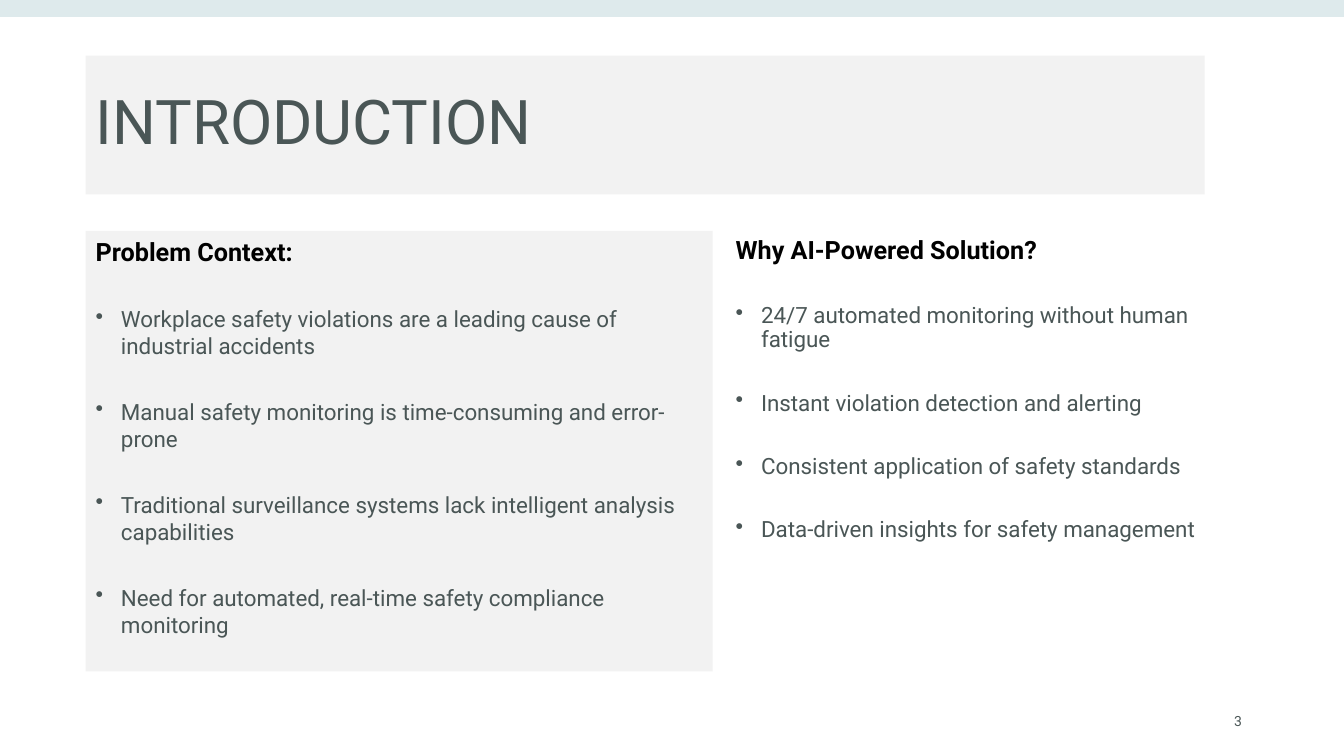
from dataclasses import dataclass

from lxml.etree import SubElement
from pptx import Presentation
from pptx.dml.color import RGBColor
from pptx.enum.shapes import MSO_SHAPE
from pptx.enum.text import MSO_ANCHOR, PP_ALIGN
from pptx.oxml.ns import qn
from pptx.util import Cm, Pt


@dataclass(frozen=True)
class Theme:
    font: str = "Roboto"
    band: RGBColor = RGBColor(0xBE, 0xD6, 0xDA)
    panel: RGBColor = RGBColor(0xF2, 0xF2, 0xF2)
    body: RGBColor = RGBColor(0x4A, 0x56, 0x56)
    heading: RGBColor = RGBColor(0, 0, 0)
    title_size: int = 44
    heading_size: int = 18
    body_size: int = 16
    number_size: int = 10


THEME = Theme()

PROBLEMS = [
    "Workplace safety violations are a leading cause of industrial accidents",
    "Manual safety monitoring is time-consuming and error-prone",
    "Traditional surveillance systems lack intelligent analysis capabilities",
    "Need for automated, real-time safety compliance monitoring",
]
BENEFITS = [
    "24/7 automated monitoring without human fatigue",
    "Instant violation detection and alerting",
    "Consistent application of safety standards",
    "Data-driven insights for safety management",
]


def add_panel(slide, left, top, width, height, color):
    panel = slide.shapes.add_shape(
        MSO_SHAPE.RECTANGLE, Cm(left), Cm(top), Cm(width), Cm(height))
    panel.shadow.inherit = False
    panel.fill.solid()
    panel.fill.fore_color.rgb = color
    panel.line.fill.background()
    return panel


def add_text_area(slide, left, top, width, height):
    return slide.shapes.add_textbox(Cm(left), Cm(top), Cm(width), Cm(height))


def set_opacity(panel, percent):
    color = panel.fill._xPr.find(qn("a:solidFill"))[0]
    SubElement(color, qn("a:alpha"), val=str(percent * 1000))


def prepare_frame(area, anchor):
    frame = area.text_frame
    frame.word_wrap = True
    frame.vertical_anchor = anchor
    return frame


def write_paragraph(paragraph, text, size, color, bold=False, align=PP_ALIGN.LEFT):
    paragraph.text = text
    paragraph.alignment = align
    paragraph.font.name = THEME.font
    paragraph.font.size = Pt(size)
    paragraph.font.bold = bold
    paragraph.font.color.rgb = color


def add_bullet(paragraph):
    properties = paragraph._p.get_or_add_pPr()
    properties.set("marL", str(Cm(0.64)))
    properties.set("indent", str(-Cm(0.64)))
    bullet = properties.makeelement(qn("a:buChar"), {"char": "•"})
    properties.insert_element_before(
        bullet, "a:tabLst", "a:defRPr", "a:extLst")


def write_section(area, heading, points, line_spacing):
    frame = prepare_frame(area, MSO_ANCHOR.TOP)
    write_paragraph(frame.paragraphs[0], heading, THEME.heading_size,
                    THEME.heading, bold=True)
    for point in points:
        paragraph = frame.add_paragraph()
        write_paragraph(paragraph, point, THEME.body_size, THEME.body)
        add_bullet(paragraph)
    for paragraph in frame.paragraphs:
        paragraph.line_spacing = line_spacing
        paragraph.space_before = Pt(10)
        paragraph.space_after = Pt(18)


def write_title(area, text):
    title = prepare_frame(area, MSO_ANCHOR.MIDDLE).paragraphs[0]
    write_paragraph(title, text, THEME.title_size, THEME.body)
    title.line_spacing = 0.9


def write_slide_number(area, text):
    number = prepare_frame(area, MSO_ANCHOR.MIDDLE).paragraphs[0]
    write_paragraph(number, text, THEME.number_size, THEME.body,
                    align=PP_ALIGN.RIGHT)
    number.runs[0]._r.get_or_add_rPr().set("spc", "150")


def main():
    deck = Presentation()
    deck.slide_width, deck.slide_height = Cm(33.87), Cm(19.05)
    slide = deck.slides.add_slide(deck.slide_layouts[6])

    top_band = add_panel(slide, 0, 0, 33.87, 0.43, THEME.band)
    set_opacity(top_band, 50)

    title_panel = add_panel(slide, 2.16, 1.4, 28.2, 3.5, THEME.panel)
    write_title(title_panel, "INTRODUCTION")

    problem_panel = add_panel(slide, 2.16, 5.82, 15.8, 11.1, THEME.panel)
    problem_panel.text_frame.margin_right = Cm(0.13)
    write_section(problem_panel, "Problem Context:", PROBLEMS, 1.0)

    solution_area = add_text_area(slide, 18.29, 5.87, 13.4, 10.5)
    write_section(solution_area, "Why AI-Powered Solution?", BENEFITS, 0.9)

    number_area = add_text_area(slide, 23.93, 17.65, 7.62, 1.02)
    write_slide_number(number_area, "3")

    deck.save("out.pptx")


if __name__ == "__main__":
    main()
